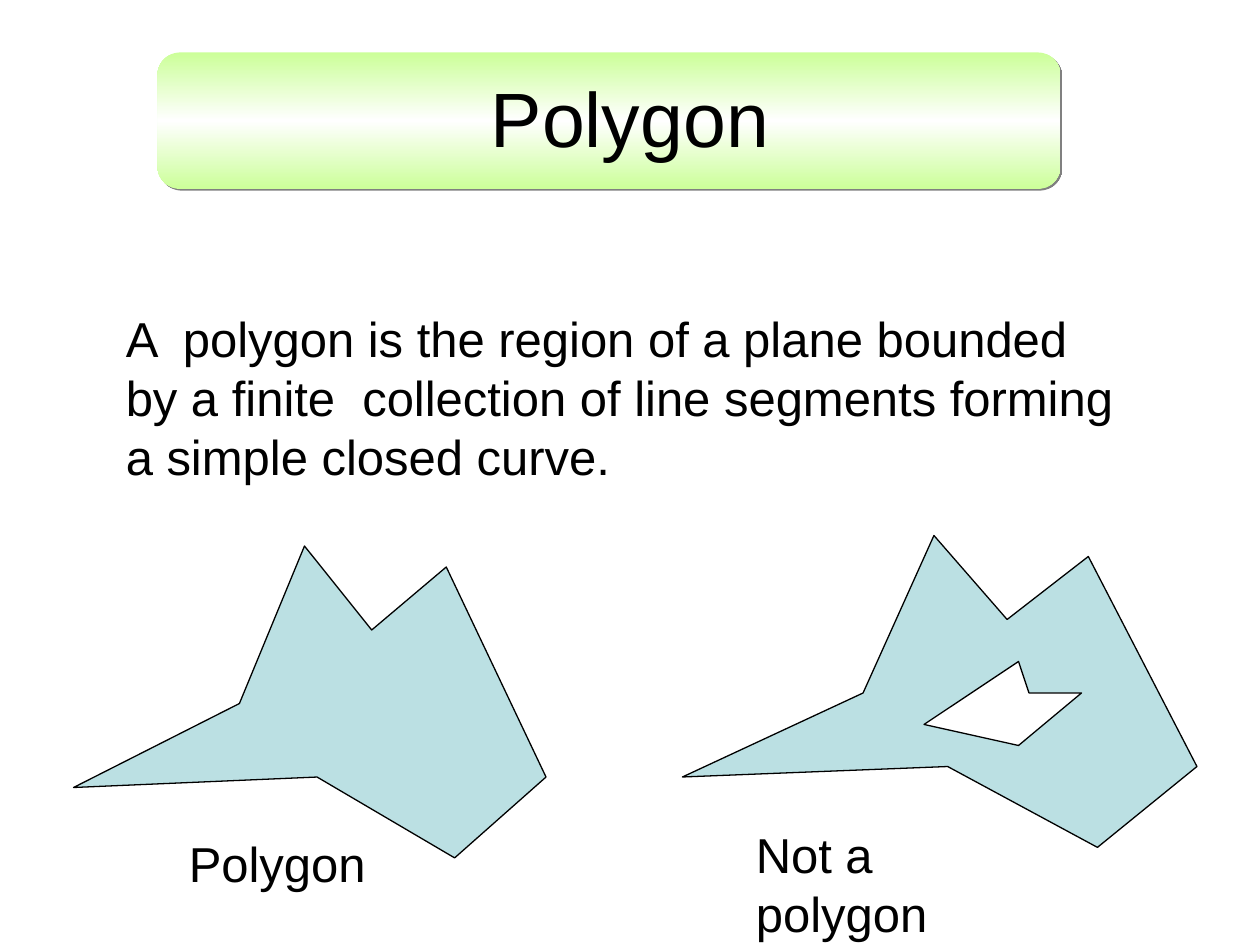
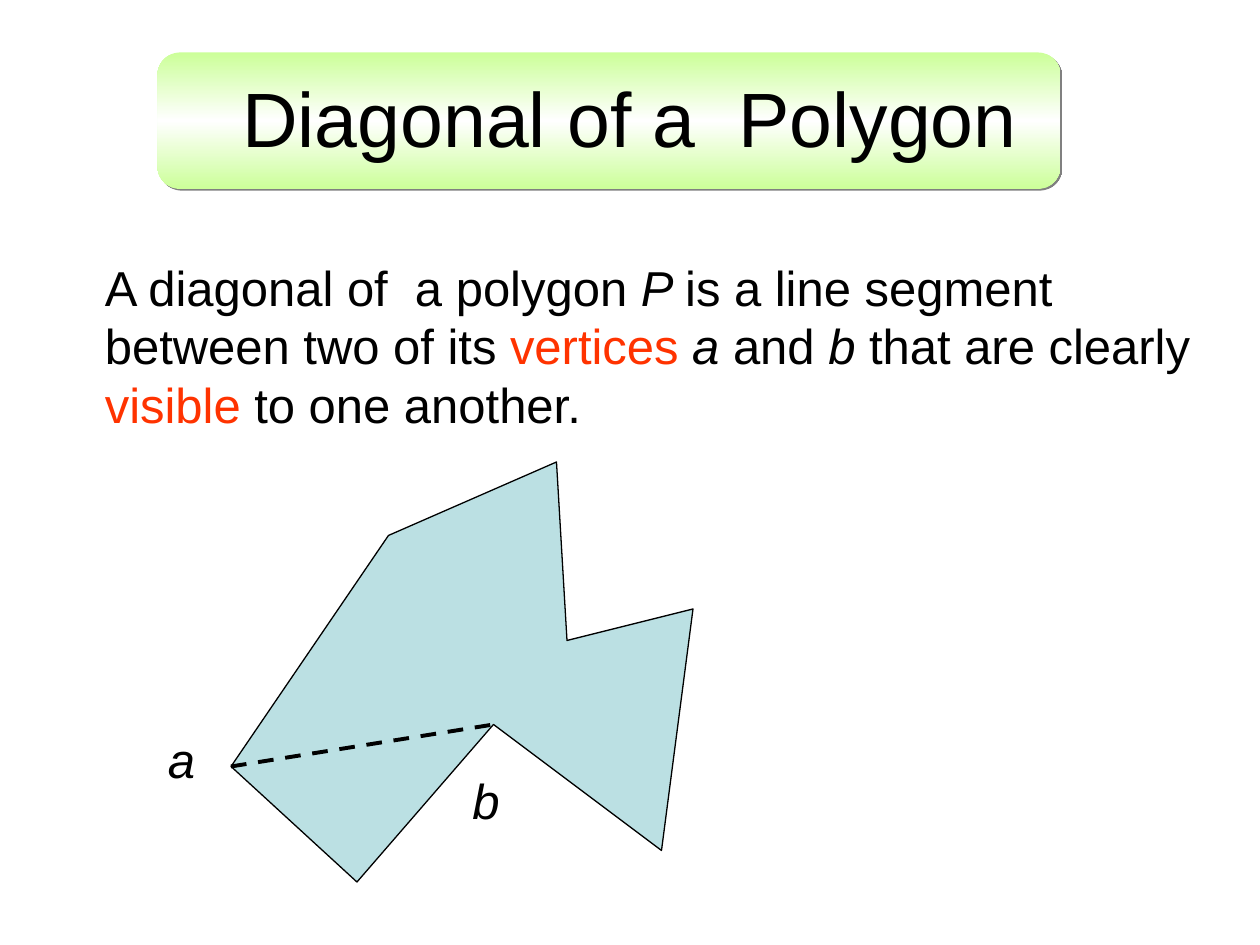
from copy import deepcopy
from dataclasses import dataclass

from lxml.etree import SubElement
from pptx import Presentation
from pptx.dml.color import RGBColor as Rgb
from pptx.enum.dml import MSO_LINE_DASH_STYLE as Dash
from pptx.enum.shapes import MSO_CONNECTOR_TYPE as Link, MSO_SHAPE as Kind
from pptx.enum.text import MSO_ANCHOR as Anchor, MSO_AUTO_SIZE as Fit, PP_ALIGN as Align
from pptx.oxml.ns import qn
from pptx.util import Emu, Inches, Pt

WIDE, HIGH = Inches(10), Inches(7.5)
COLS, ROWS = 120, 90
FONT = "Arial"
HUES = {
    "ink": "000000",
    "paper": "FFFFFF",
    "lime": "CCFF99",
    "shade": "808080",
    "aqua": "BBE0E3",
    "red": "FF3300",
}
Point = tuple[float, float]


@dataclass(frozen=True)
class Run:
    """A stretch of text in one style."""
    text: str
    hue: str = "ink"
    slant: bool = False


@dataclass(frozen=True)
class Label:
    """Text in a box placed on the grid."""
    col: float
    row: float
    cols: float
    rows: float
    runs: tuple[Run, ...]
    wrap: bool = False


@dataclass(frozen=True)
class Outline:
    """A closed outline, shifted and stretched on the grid."""
    points: tuple[Point, ...]
    col: float = 0
    row: float = 0
    stretch: float = 1
    hue: str = "aqua"


@dataclass(frozen=True)
class Page:
    """All that one slide shows."""
    title: str
    forms: tuple[Outline, ...]
    labels: tuple[Label, ...]
    dashes: tuple[tuple[Point, Point], ...] = ()


BIRD = ((22, 0), (15.8, 15), (0, 23), (23.2, 22), (36.3, 29.7), (45, 22), (35.5, 2), (28.4, 8))
HOLE = ((97, 63), (88, 69), (97, 71), (103, 66), (98, 66))
VERTEX_A, VERTEX_B = (22, 73), (47, 69)
CROWN = ((37, 51), VERTEX_A, (34, 84), VERTEX_B, (63, 81), (66, 58), (54, 61), (53, 44))

PAGES = (
    Page(
        "Polygon",
        (Outline(BIRD, 7, 52), Outline(BIRD, 65, 51, 49 / 45), Outline(HOLE, hue="paper")),
        (
            Label(10.8, 28.8, 98.2, 18, (Run(
                "A  polygon is the region of a plane bounded by a finite  collection "
                "of line segments forming a simple closed curve."),), True),
            Label(16.8, 78.8, 19.2, 6.8, (Run("Polygon"),)),
            Label(70.8, 77.9, 31.1, 6.8, (Run("Not a polygon"),)),
        ),
    ),
    Page(
        "Diagonal of a  Polygon",
        (Outline(CROWN),),
        (
            Label(8.8, 23.9, 107.2, 18, (
                Run("A diagonal of  a polygon "),
                Run("P ", slant=True),
                Run("is a line segment between two of its"),
                Run(" vertices ", "red"),
                Run("a", slant=True),
                Run(" and "),
                Run("b", slant=True),
                Run(" that are clearly "),
                Run("visible", "red"),
                Run(" to one another."),
            ), True),
            Label(14.8, 68.9, 4.9, 6.8, (Run("a", slant=True),)),
            Label(43.8, 72.8, 4.9, 6.8, (Run("b", slant=True),)),
        ),
        ((VERTEX_A, VERTEX_B),),
    ),
)


def tint(name: str) -> Rgb:
    """Look up a colour by name."""
    return Rgb.from_string(HUES[name])


def across(cols: float) -> Emu:
    """Turn grid columns into a length."""
    return Emu(round(WIDE * cols / COLS))


def down(rows: float) -> Emu:
    """Turn grid rows into a length."""
    return Emu(round(HIGH * rows / ROWS))


def write(para, runs: tuple[Run, ...], size: float) -> None:
    """Add styled runs to a paragraph."""
    for item in runs:
        run = para.add_run()
        run.text = item.text
        run.font.name = FONT
        run.font.size = Pt(size)
        run.font.italic = item.slant
        run.font.color.rgb = tint(item.hue)


def draw_band(slide) -> None:
    """Lay the shaded band behind the title."""
    band = slide.shapes.add_shape(
        Kind.ROUNDED_RECTANGLE, across(15), down(5), across(86), down(13))
    band.line.fill.background()
    band.fill.gradient()
    band.fill.gradient_angle = 90
    stops = band._element.spPr.find(qn("a:gradFill")).find(qn("a:gsLst"))
    stops.append(deepcopy(stops[0]))
    for stop, place, hue in zip(band.fill.gradient_stops, (0, 0.5, 1), ("lime", "paper", "lime")):
        stop.position = place
        stop.color.rgb = tint(hue)
    band.shadow.inherit = False
    glow = SubElement(
        band._element.spPr.find(qn("a:effectLst")), qn("a:outerShdw"),
        dist=str(Pt(1.4)), dir=str(45 * 60000), algn="ctr", rotWithShape="0")
    SubElement(glow, qn("a:srgbClr"), val=HUES["shade"])
    slide.shapes._spTree.insert(2, band._element)


def draw_title(slide, text: str) -> None:
    """Place and fill the title."""
    title = slide.shapes.title
    title.left, title.top = across(6), down(3.6)
    title.width, title.height = across(108), down(15)
    frame = title.text_frame
    frame.auto_size = Fit.NONE
    frame.vertical_anchor = Anchor.MIDDLE
    para = frame.paragraphs[0]
    para.alignment = Align.CENTER
    write(para, (Run(text),), 44)


def draw_form(slide, form: Outline) -> None:
    """Draw a filled closed outline."""
    first, *rest = [
        (across(form.col + x * form.stretch), down(form.row + y)) for x, y in form.points]
    pen = slide.shapes.build_freeform(*first)
    pen.add_line_segments(rest, close=True)
    shape = pen.convert_to_shape()
    shape.shadow.inherit = False
    shape.fill.solid()
    shape.fill.fore_color.rgb = tint(form.hue)
    shape.line.color.rgb = tint("ink")
    shape.line.width = Pt(0.75)


def draw_label(slide, label: Label) -> None:
    """Draw a text box."""
    box = slide.shapes.add_textbox(
        across(label.col), down(label.row), across(label.cols), down(label.rows))
    frame = box.text_frame
    frame.word_wrap = label.wrap
    frame.auto_size = Fit.SHAPE_TO_FIT_TEXT
    write(frame.paragraphs[0], label.runs, 28)


def draw_dash(slide, start: Point, end: Point) -> None:
    """Draw a dashed line between two grid points."""
    line = slide.shapes.add_connector(
        Link.STRAIGHT, across(start[0]), down(start[1]), across(end[0]), down(end[1]))
    line.line.color.rgb = tint("ink")
    line.line.width = Pt(2.25)
    line.line.dash_style = Dash.DASH
    SubElement(line._element.spPr, qn("a:effectLst"))


def draw_page(deck, page: Page) -> None:
    """Add one slide to the deck."""
    slide = deck.slides.add_slide(deck.slide_layouts[5])
    draw_band(slide)
    draw_title(slide, page.title)
    for form in page.forms:
        draw_form(slide, form)
    for label in page.labels:
        draw_label(slide, label)
    for start, end in page.dashes:
        draw_dash(slide, start, end)


def main() -> None:
    """Build and save the deck."""
    deck = Presentation()
    deck.slide_width, deck.slide_height = WIDE, HIGH
    for page in PAGES:
        draw_page(deck, page)
    deck.save("out.pptx")


if __name__ == "__main__":
    main()
